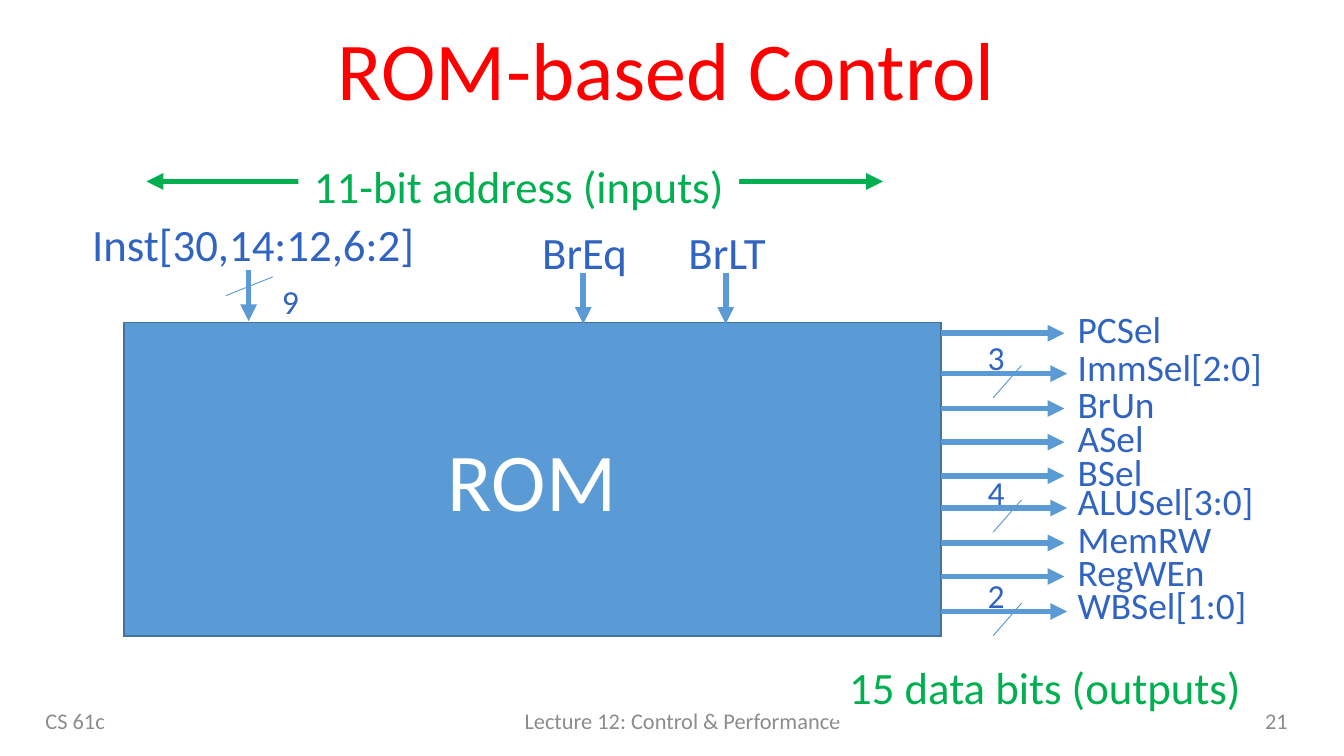
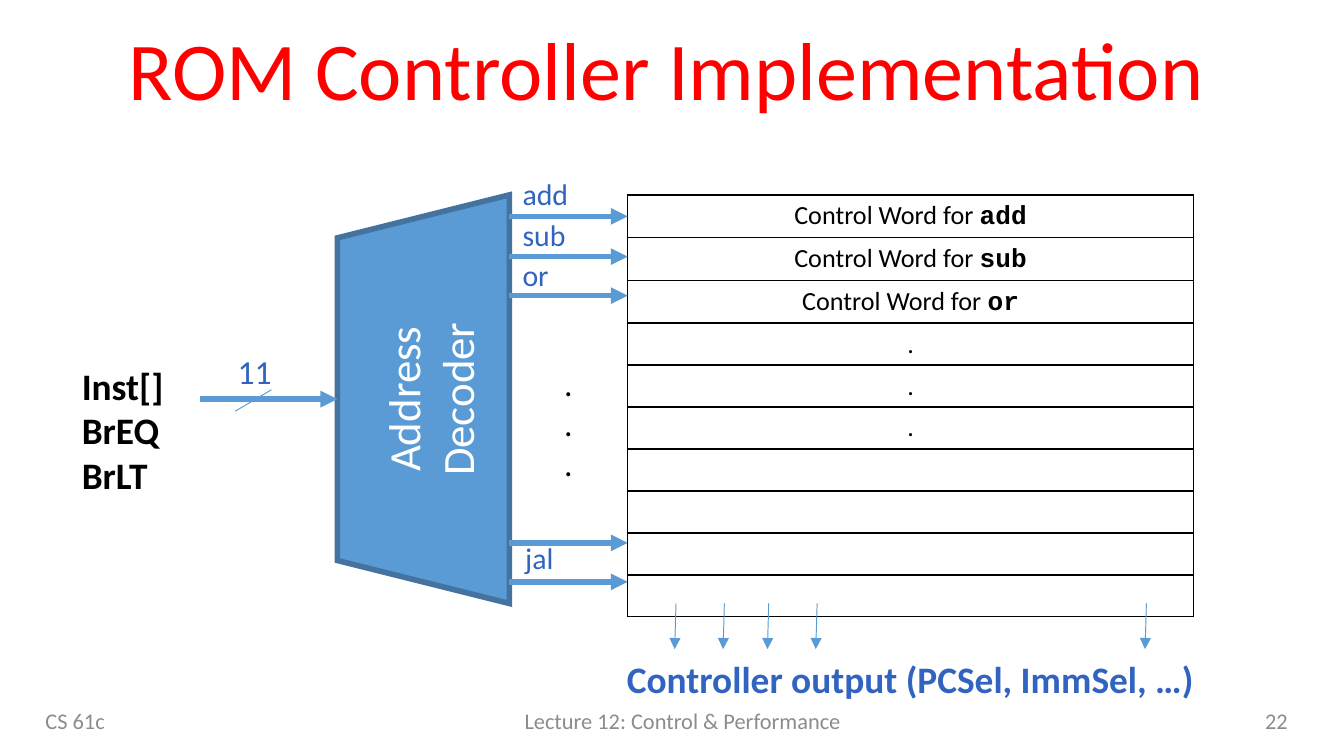
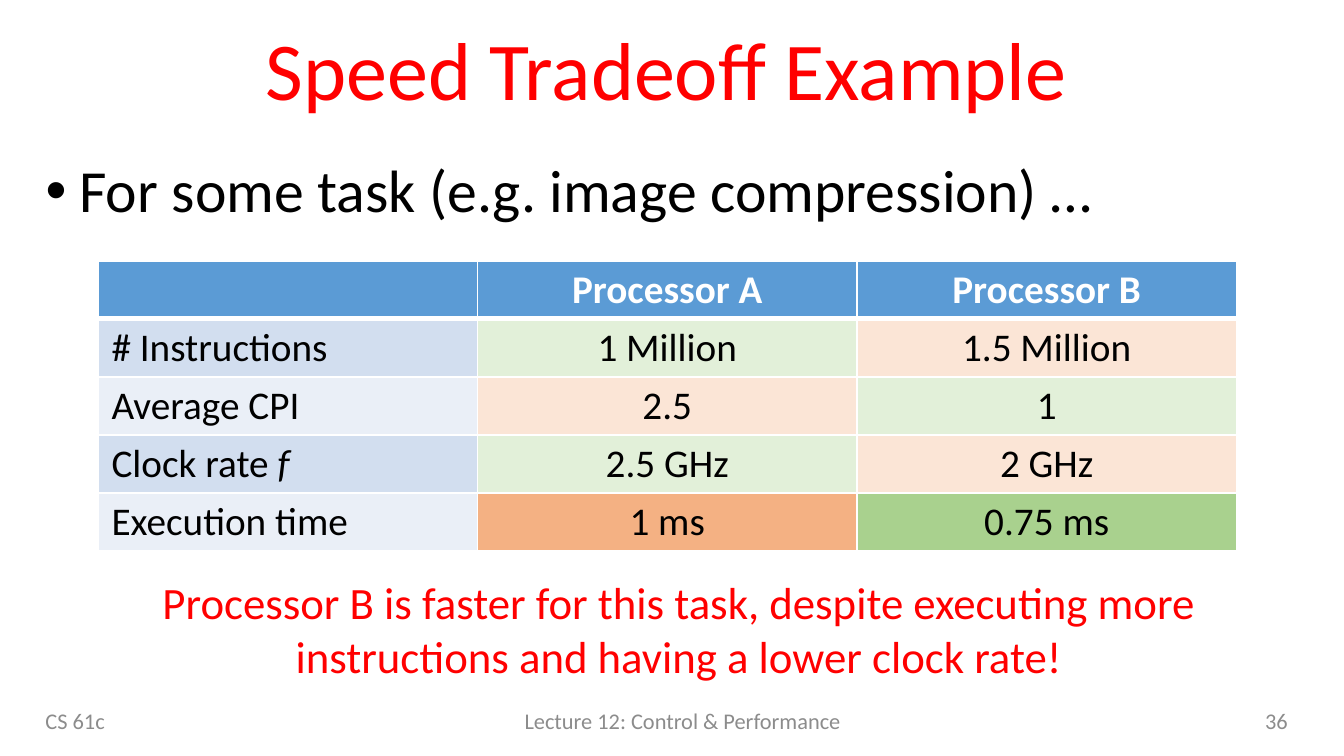
import pptx
import pptx.util
import pptx.dml.color
import pptx.enum.text
import pptx.enum.shapes
import pptx.oxml
import pptx.oxml.ns
import lxml.etree

Inches = pptx.util.Inches
Pt = pptx.util.Pt
RGB = pptx.dml.color.RGBColor
ALIGN = pptx.enum.text.PP_ALIGN
ANCHOR = pptx.enum.text.MSO_ANCHOR
FIT = pptx.enum.text.MSO_AUTO_SIZE
SHAPE = pptx.enum.shapes.MSO_SHAPE
LINE = pptx.enum.shapes.MSO_CONNECTOR
qn = pptx.oxml.ns.qn

RED = RGB(0xFF, 0x00, 0x00)
GREY = RGB(0x8C, 0x8C, 0x8C)
BLUE = RGB(0x5B, 0x9B, 0xD5)
EDGE = RGB(0x43, 0x73, 0x9E)
INK = RGB(0x30, 0x64, 0xC0)
GREEN = RGB(0x00, 0xB0, 0x50)
WHITE = RGB(0xFF, 0xFF, 0xFF)
BLACK = RGB(0x00, 0x00, 0x00)
BAND = RGB(0xD2, 0xDE, 0xEF)
PALE = RGB(0xEA, 0xEF, 0xF7)
MINT = RGB(0xE2, 0xF0, 0xD9)
PEACH = RGB(0xFB, 0xE5, 0xD6)
AMBER = RGB(0xF4, 0xB1, 0x83)
LEAF = RGB(0xA9, 0xD1, 0x8E)

WIDE = 10
HIGH = WIDE * 9 / 16
EDGE_X, FULL = 0.24, 9.44
FONT, CODE = "Calibri", "Courier New"
COURSE, TALK = "CS 61c", "Lecture 12: Control & Performance"

INPUTS = [
    ("Inst[30,14:12,6:2]", (0.57, 1.56, 2.63, 0.5), 1.85, 2.01),
    ("BrEq", (3.93, 1.62, 0.84, 0.5), 4.34, 2.03),
    ("BrLT", (5, 1.62, 0.82, 0.5), 5.4, 2.03),
]
SIGNALS = [
    ("PCSel", "", 2.48, 0.83),
    ("ImmSel[2:0]", "3", 2.78, 1.58),
    ("BrUn", "", 3.04, 0.78),
    ("ASel", "", 3.29, 0.7),
    ("BSel", "", 3.54, 0.69),
    ("ALUSel[3:0]", "4", 3.78, 1.53),
    ("MemRW", "", 4.04, 1.21),
    ("RegWEn", "", 4.29, 1.16),
    ("WBSel[1:0]", "2", 4.55, 1.47),
]
SPANS = [
    ("11-bit address (inputs)", (2.22, 1.13, 3.28, 0.5)),
    ("15 data bits (outputs) ", (6.2, 4.86, 3.15, 0.5)),
]

WORDS = [("Control Word for ", op) for op in ("add", "sub", "or")]
WORDS += ["."] * 3 + [""] * 4
PICKS = [1.61, 1.91, 2.2, 4.04, 4.33]
OPS = [
    ("add", 3.79, 1.26, 0.55),
    ("sub", 3.79, 1.56, 0.53),
    ("or", 3.79, 1.86, 0.4),
    ("jal", 3.81, 3.97, 0.43),
]
DROPS = [5.03, 5.39, 5.72, 6.08, 8.53]

SPEED = [
    [("", BLUE), ("Processor A", BLUE), ("Processor B", BLUE)],
    [("# Instructions", BAND), ("1 Million", MINT), ("1.5 Million", PEACH)],
    [("Average CPI", PALE), ("2.5", PEACH), ("1", MINT)],
    [(("Clock rate ", "f"), BAND), ("2.5 GHz", MINT), ("2 GHz", PEACH)],
    [("Execution time", PALE), ("1 ms", AMBER), ("0.75 ms", LEAF)],
]
TASK = "For some task (e.g. image compression) …"
MORAL = ("Processor B is faster for this task, despite executing more "
         "instructions and having a lower clock rate!")

deck = pptx.Presentation()
deck.slide_width, deck.slide_height = Inches(WIDE), Inches(HIGH)


def box(at):
    return [Inches(v) for v in at]


def write(frame, lines, size, color, align=ALIGN.LEFT, bold=False):
    for i, line in enumerate(lines):
        para = frame.paragraphs[0] if i == 0 else frame.add_paragraph()
        parts = (line,) if isinstance(line, str) else line
        para.text = parts[0]
        for part in parts[1:]:
            para.add_run().text = part
        para.alignment = align
        for run in para.runs:
            font = run.font
            font.name, font.size, font.bold = FONT, Pt(size), bold
            font.color.rgb = color


def label(home, at, lines, size, color, align=ALIGN.LEFT, bold=False,
          wrap=False, anchor=ANCHOR.TOP, fit=FIT.SHAPE_TO_FIT_TEXT):
    shape = home.add_textbox(*box(at))
    frame = shape.text_frame
    frame.word_wrap, frame.auto_size = wrap, fit
    frame.vertical_anchor = anchor
    write(frame, lines, size, color, align, bold)
    return shape


def line(home, start, end, width=3, color=BLUE, ends=("tailEnd",)):
    item = home.add_connector(LINE.STRAIGHT, *box(start + end))
    item.line.color.rgb, item.line.width = color, Pt(width)
    ln = item.line._get_or_add_ln()
    for tip in ends:
        lxml.etree.SubElement(ln, qn("a:" + tip), type="triangle")
    lxml.etree.SubElement(item._element.spPr, qn("a:effectLst"))


def block(home, kind, at, lines, size, edge):
    shape = home.add_shape(kind, *box(at))
    shape.shadow.inherit = False
    shape.fill.solid()
    shape.fill.fore_color.rgb = BLUE
    shape.line.color.rgb, shape.line.width = EDGE, Pt(edge)
    ln = shape.line._get_or_add_ln()
    lxml.etree.SubElement(ln, qn("a:miter"), lim="800000")
    shape.text_frame.vertical_anchor = ANCHOR.MIDDLE
    write(shape.text_frame, lines, size, WHITE, ALIGN.CENTER)
    return shape


def hold(shape, at):
    shape.left, shape.top, shape.width, shape.height = box(at)
    shape.text_frame.auto_size = FIT.NONE


def start(title, number, layout=5):
    slide = deck.slides.add_slide(deck.slide_layouts[layout])
    head = slide.shapes.title
    hold(head, (EDGE_X, 0.12, FULL, 0.86))
    head.text_frame.vertical_anchor = ANCHOR.MIDDLE
    write(head.text_frame, [title], 44, RED, ALIGN.CENTER)
    head.text_frame.paragraphs[0].line_spacing = 0.9
    for text, left, width, align in (
            (COURSE, EDGE_X, 2.46, ALIGN.LEFT),
            (TALK, 2.92, 4.32, ALIGN.CENTER),
            (number, 7.43, 2.25, ALIGN.RIGHT)):
        label(slide.shapes, (left, 5.21, width, 0.3), [text], 12, GREY, align,
              wrap=True, anchor=ANCHOR.MIDDLE, fit=FIT.NONE)
    return slide


def grid(home, at, rows, cols):
    table = home.add_table(rows, cols, *box(at)).table
    table.first_row = table.horz_banding = False
    return table


def border(cell, color, top=1, bottom=1):
    props = cell._tc.get_or_add_tcPr()
    for i, (side, width) in enumerate(zip("LRTB", (1, 1, top, bottom))):
        ln = lxml.etree.Element(qn("a:ln" + side), w=str(Pt(width)))
        fill = lxml.etree.SubElement(ln, qn("a:solidFill"))
        lxml.etree.SubElement(fill, qn("a:srgbClr"), val=str(color))
        props.insert(i, ln)


def enter(cell, text, size, color, align, bold=False):
    cell.margin_left = cell.margin_right = Inches(0.1)
    cell.margin_top = cell.margin_bottom = Pt(2.7)
    write(cell.text_frame, [text], size, color, align, bold)
    para = cell.text_frame.paragraphs[0]
    if not text:
        lxml.etree.SubElement(para._p, qn("a:endParaRPr"), sz=str(size * 100))
    return para


def control():
    shapes = start("ROM-based Control", "21").shapes
    block(shapes, SHAPE.RECTANGLE, (0.92, 2.4, 6.08, 2.33), ["ROM"], 44, 1)
    for name, at, x, y in INPUTS:
        line(shapes, (x, y), (x, y + 0.38))
        label(shapes, at, [name], 24, INK, ALIGN.CENTER)
    line(shapes, (1.68, 2.2), (2.03, 2.06), 0.5, ends=())
    label(shapes, (2, 2.04, 0.33, 0.4), ["9"], 18, INK)
    line(shapes, (1.09, 1.35), (6.57, 1.35), 3, GREEN, ("headEnd", "tailEnd"))
    for text, at in SPANS:
        note = label(shapes, at, [text], 24, GREEN, ALIGN.CENTER)
        note.fill.solid()
        note.fill.fore_color.rgb = WHITE
    for name, bits, y, width in SIGNALS:
        group = shapes.add_group_shape().shapes
        rise, tip = (0.27, 7.94) if bits else (0.25, 7.92)
        label(group, (7.92, y - rise, width, 0.44), [name], 20, INK)
        line(group, (7, y), (tip, y))
        if bits:
            line(group, (7.39, y + 0.18), (7.6, y - 0.06), 0.5, ends=())
            label(group, (7.25, y - 0.32, 0.33, 0.4), [bits], 18, INK)


def decoder():
    shapes = start("ROM Controller Implementation", "22").shapes
    table = grid(shapes, (4.67, 1.45, 4.21, 3.08), len(WORDS), 1)
    for i, text in enumerate(WORDS):
        cell = table.cell(i, 0)
        para = enter(cell, text, 14, BLACK, ALIGN.CENTER)
        if isinstance(text, tuple):
            para.runs[-1].font.name, para.runs[-1].font.bold = CODE, True
        cell.fill.background()
        border(cell, BLACK)
    block(shapes, SHAPE.TRAPEZOID, (1.63, 2.33, 3.04, 1.28),
          ["Address", "Decoder"], 24, 3).rotation = 270
    for y in PICKS:
        line(shapes, (3.79, y), (4.67, y))
    label(shapes, (4.1, 2.65, 0.27, 1.01), ["."] * 3, 18, BLACK)
    line(shapes, (1.49, 2.97), (2.51, 2.97))
    label(shapes, (0.51, 2.65, 0.82, 1.11), ["Inst[]", "BrEQ", "BrLT"],
          20, BLACK, bold=True)
    for x in DROPS:
        line(shapes, (x, 4.49), (x - 0.01, 4.83), 0.5)
    label(shapes, (4.54, 4.83, 4.47, 0.44),
          ["Controller output (PCSel, ImmSel, …)"], 20, INK, ALIGN.CENTER, True)
    for op, x, y, width in OPS:
        label(shapes, (x, y, width, 0.37), [op], 16, INK)
    line(shapes, (1.75, 3.06), (2.02, 2.9), 0.5, ends=())
    label(shapes, (1.67, 2.56, 0.46, 0.4), ["11"], 18, INK)


def speed():
    slide = start("Speed Tradeoff Example", "36", 1)
    shapes = slide.shapes
    body = slide.placeholders[1]
    hold(body, (EDGE_X, 1.15, FULL, 0.8))
    write(body.text_frame, [TASK], 32, BLACK)
    para = body.text_frame.paragraphs[0]
    para.line_spacing, para.space_before = 0.9, Pt(10)
    props = para._p.get_or_add_pPr()
    props.set("marL", str(Inches(0.25)))
    props.set("indent", str(-Inches(0.25)))
    lxml.etree.SubElement(props, qn("a:buFont"), typeface="Arial")
    lxml.etree.SubElement(props, qn("a:buChar"), char="•")
    table = grid(shapes, (0.73, 1.94, 8.47, 2.12), len(SPEED), 3)
    for r, row in enumerate(SPEED):
        for c, (text, fill) in enumerate(row):
            cell = table.cell(r, c)
            para = enter(cell, text, 21, BLACK if r else WHITE,
                         ALIGN.CENTER if c else ALIGN.LEFT, r == 0)
            if isinstance(text, tuple):
                para.runs[-1].font.italic = True
            cell.fill.solid()
            cell.fill.fore_color.rgb = fill
            border(cell, WHITE, 3 if r == 1 else 1, 1 if r else 3)
    label(shapes, (0.33, 4.23, FULL, 0.91), [MORAL], 24, RED, ALIGN.CENTER,
          wrap=True)


control()
decoder()
speed()
deck.save("out.pptx")
